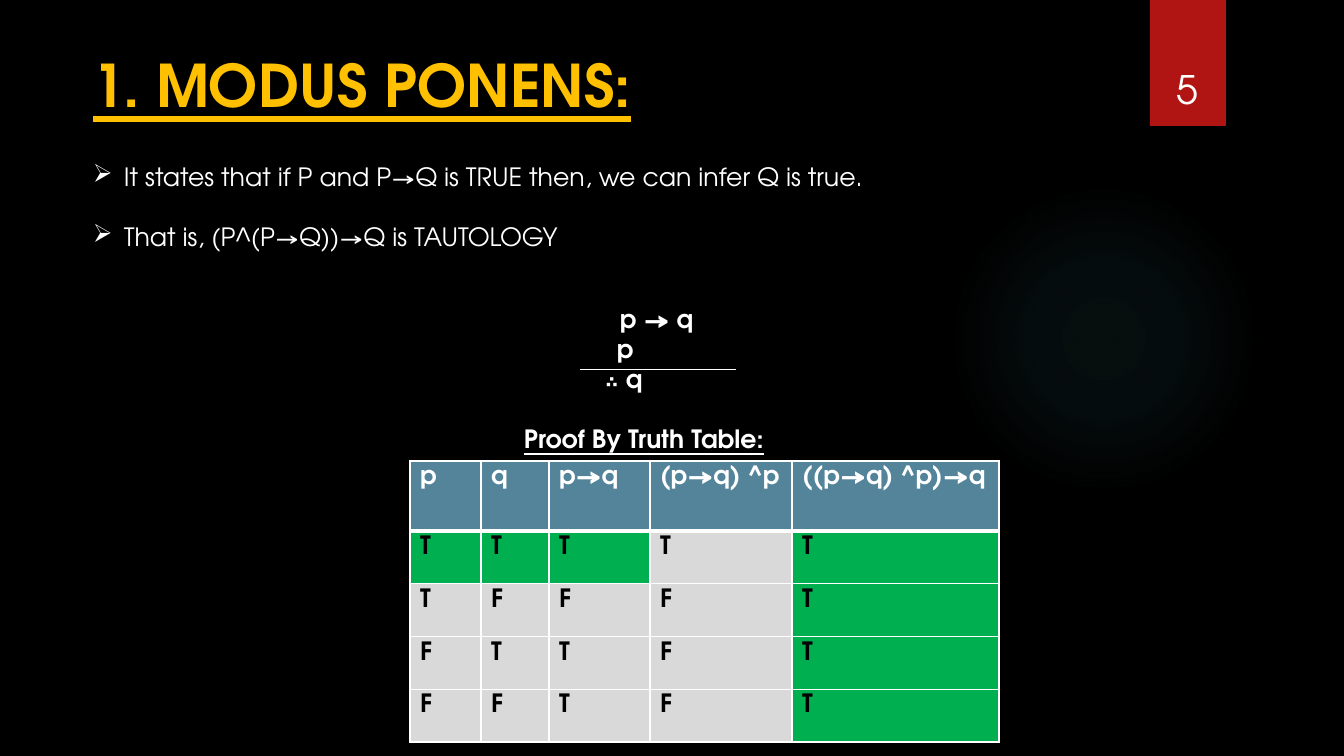
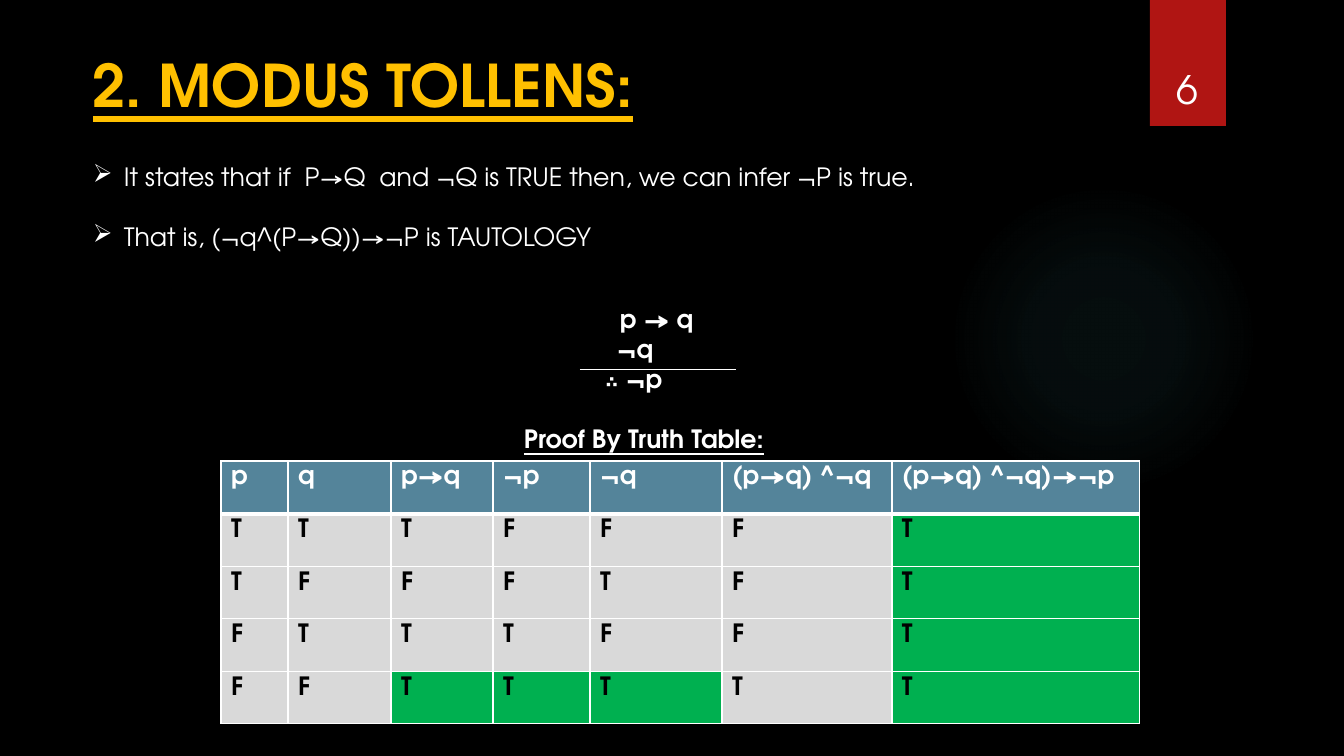
"""Builds two slides on rules of inference, each with a truth table."""
from dataclasses import dataclass

from lxml.etree import SubElement
from pptx import Presentation
from pptx.dml.color import RGBColor
from pptx.enum.shapes import MSO_CONNECTOR as Connector, MSO_SHAPE as Shape
from pptx.enum.text import MSO_ANCHOR as Anchor, PP_ALIGN as Align
from pptx.oxml import parse_xml
from pptx.oxml.ns import nsdecls, qn
from pptx.util import Emu, Pt

EMU_PER_PIXEL = 914400 / 100.8
FONT = "TeX Gyre Adventor"
BLACK, WHITE, GOLD, RED = "000000", "FFFFFF", "FFC000", "B01513"
GLOW, HEADER, GREEN, GREY = "50B9C1", "54849A", "00B050", "D9D9D9"
GLOW_STOPS = ((0, 7), (36, 6), (69, 0))
TABLE_TOP = 461
BULLET_INDENT = 31


@dataclass(frozen=True)
class Box:
    left: int
    top: int
    width: int
    height: int


@dataclass(frozen=True)
class TruthTable:
    left: int
    height: int
    header_height: int
    widths: tuple[int, ...]
    headings: tuple[str, ...]
    rows: tuple[str, ...]
    premise_row: int
    premise_columns: range


@dataclass(frozen=True)
class Rule:
    number: int
    title: str
    bullets: tuple[str, ...]
    premise: str
    conclusion: str
    table: TruthTable


RULES = (
    Rule(5, "1. MODUS PONENS:",
         ("It states that if P and P→Q is TRUE then, we can infer Q is true.",
          "That is, (P^(P→Q))→Q is TAUTOLOGY"),
         "p", "∴ q",
         TruthTable(410, 281, 70, (71, 68, 101, 142, 207),
                    ("p", "q", "p→q", "(p→q) ^p", "((p→q) ^p)→q"),
                    ("TTTTT", "TFFFT", "FTTFT", "FFTFT"), 1, range(0, 3))),
    Rule(6, "2. MODUS TOLLENS:",
         ("It states that if  P→Q  and ¬Q is TRUE then, we can infer ¬P is true.",
          "That is, (¬q^(P→Q))→¬P is TAUTOLOGY"),
         "¬q", "∴ ¬p",
         TruthTable(221, 263, 53, (67, 103, 102, 97, 132, 170, 248),
                    ("p", "q", "p→q", "¬p", "¬q", "(p→q) ^¬q", "(p→q) ^¬q)→¬p"),
                    ("TTTFFFT", "TFFFTFT", "FTTTFFT", "FFTTTTT"), 4, range(2, 5))),
)


def px(length: float) -> Emu:
    """Turn pixels into EMU."""
    return Emu(round(length * EMU_PER_PIXEL))


def color(code: str) -> RGBColor:
    """Turn a hex string into a colour."""
    return RGBColor.from_string(code)


def place(box: Box) -> tuple[Emu, Emu, Emu, Emu]:
    """Give the position and size of a box in EMU."""
    return px(box.left), px(box.top), px(box.width), px(box.height)


def write(para, text: str, *, size: int = 18, ink: str = WHITE, bold: bool = False,
          underline: bool = False, align=None, indent: int = 0, hanging: int = 0,
          bullet: str = "", spacing: float = 1.0, before: float = 0) -> None:
    """Write one formatted run into a paragraph."""
    span = para.add_run()
    span.text = text
    span.font.name, span.font.size = FONT, Pt(size)
    span.font.bold, span.font.underline = bold, underline
    span.font.color.rgb = color(ink)
    para.alignment, para.line_spacing, para.space_before = align, spacing, Pt(before)
    properties = para._p.get_or_add_pPr()
    properties.set("marL", str(px(indent)))
    properties.set("indent", str(-px(hanging)))
    if bullet:
        SubElement(properties, qn("a:buChar")).set("char", bullet)


def add_frame(page, box: Box, anchor=Anchor.TOP):
    """Add a wrapping text box and return its frame."""
    frame = page.shapes.add_textbox(*place(box)).text_frame
    frame.word_wrap, frame.vertical_anchor = True, anchor
    return frame


def add_paras(frame, items) -> None:
    """Write text and format pairs as successive paragraphs."""
    for index, (text, style) in enumerate(items):
        para = frame.add_paragraph() if index else frame.paragraphs[0]
        write(para, text, **style)


def add_glow(page) -> None:
    """Add the faint round glow behind the content."""
    glow = page.shapes.add_shape(Shape.OVAL, *place(Box(949, 184, 310, 310)))
    stops = "".join(
        f'<a:gs pos="{position * 1000}"><a:srgbClr val="{GLOW}">'
        f'<a:alpha val="{alpha * 1000}"/></a:srgbClr></a:gs>'
        for position, alpha in GLOW_STOPS)
    glow._element.spPr.insert(2, parse_xml(
        f'<a:gradFill {nsdecls("a")}><a:gsLst>{stops}</a:gsLst><a:path path="circle">'
        '<a:fillToRect l="50000" t="50000" r="50000" b="50000"/></a:path></a:gradFill>'))
    glow.line.fill.background()
    glow.shadow.inherit = False


def add_flag(page) -> None:
    """Add the red flag that holds the slide number."""
    flag = page.shapes.add_shape(Shape.RECTANGLE, *place(Box(1150, 0, 76, 126)))
    flag.fill.solid()
    flag.fill.fore_color.rgb = color(RED)
    flag.line.fill.background()
    flag._element.spPr.append(parse_xml(
        f'<a:effectLst {nsdecls("a")}><a:outerShdw blurRad="{Pt(3)}" dist="{Pt(2)}" '
        f'dir="5400000"><a:srgbClr val="{BLACK}"><a:alpha val="45000"/></a:srgbClr>'
        '</a:outerShdw></a:effectLst>'))


def add_inference_line(page) -> None:
    """Add the line between premises and conclusion."""
    line = page.shapes.add_connector(
        Connector.STRAIGHT, px(580), px(370), px(736), px(370))
    line.line.color.rgb, line.line.width = color(WHITE), Pt(0.75)
    SubElement(line._element.spPr, qn("a:effectLst"))


def set_borders(cell, top: int, bottom: int) -> None:
    """Give a cell white borders."""
    properties = cell._tc.get_or_add_tcPr()
    for side, width in (("L", 1), ("R", 1), ("T", top), ("B", bottom)):
        properties.append(parse_xml(
            f'<a:ln{side} {nsdecls("a")} w="{Pt(width)}"><a:solidFill>'
            f'<a:srgbClr val="{WHITE}"/></a:solidFill></a:ln{side}>'))


def cell_fill(table: TruthTable, row: int, column: int) -> str:
    """Choose the fill of a cell from its place."""
    if row == 0:
        return HEADER
    premise = row == table.premise_row and column in table.premise_columns
    return GREEN if premise or column == len(table.widths) - 1 else GREY


def add_truth_table(page, table: TruthTable) -> None:
    """Add a truth table with its green cells."""
    lines = (table.headings, *table.rows)
    box = Box(table.left, TABLE_TOP, sum(table.widths), table.height)
    grid = page.shapes.add_table(len(lines), len(table.widths), *place(box)).table
    for column, width in zip(grid.columns, table.widths):
        column.width = px(width)
    body_height = (table.height - table.header_height) / len(table.rows)
    for row, values in enumerate(lines):
        grid.rows[row].height = px(body_height if row else table.header_height)
        for column, value in enumerate(values):
            cell = grid.cell(row, column)
            set_borders(cell, 3 if row == 1 else 1, 1 if row else 3)
            cell.fill.solid()
            cell.fill.fore_color.rgb = color(cell_fill(table, row, column))
            write(cell.text_frame.paragraphs[0], value, bold=True,
                  ink=BLACK if row else WHITE)


def add_rule(deck, rule: Rule) -> None:
    """Add the slide of one rule."""
    page = deck.slides.add_slide(deck.slide_layouts[6])
    page.background.fill.solid()
    page.background.fill.fore_color.rgb = color(BLACK)
    add_glow(page)
    add_flag(page)
    add_paras(add_frame(page, Box(83, 44, 940, 99)),
              [(rule.title, dict(size=42, ink=GOLD, bold=True, underline=True))])
    bullet_style = dict(indent=BULLET_INDENT, hanging=BULLET_INDENT, bullet="➢", spacing=2.0)
    add_paras(add_frame(page, Box(83, 126, 1175, 132)),
              [(text, bullet_style) for text in rule.bullets])
    add_paras(add_frame(page, Box(335, 298, 670, 163)), [
        ("p → q", dict(bold=True, indent=275)),
        (rule.premise, dict(bold=True, indent=272)),
        (rule.conclusion, dict(bold=True, indent=260)),
        ("Proof By Truth Table:",
         dict(bold=True, underline=True, indent=179, before=21.5)),
    ])
    add_paras(add_frame(page, Box(1141, 32, 93, 85), Anchor.BOTTOM),
              [(str(rule.number), dict(size=28, align=Align.CENTER))])
    add_truth_table(page, rule.table)
    add_inference_line(page)


def main() -> None:
    """Build and save the deck."""
    deck = Presentation()
    deck.slide_width, deck.slide_height = px(1344), px(756)
    for rule in RULES:
        add_rule(deck, rule)
    deck.save("out.pptx")


main()
